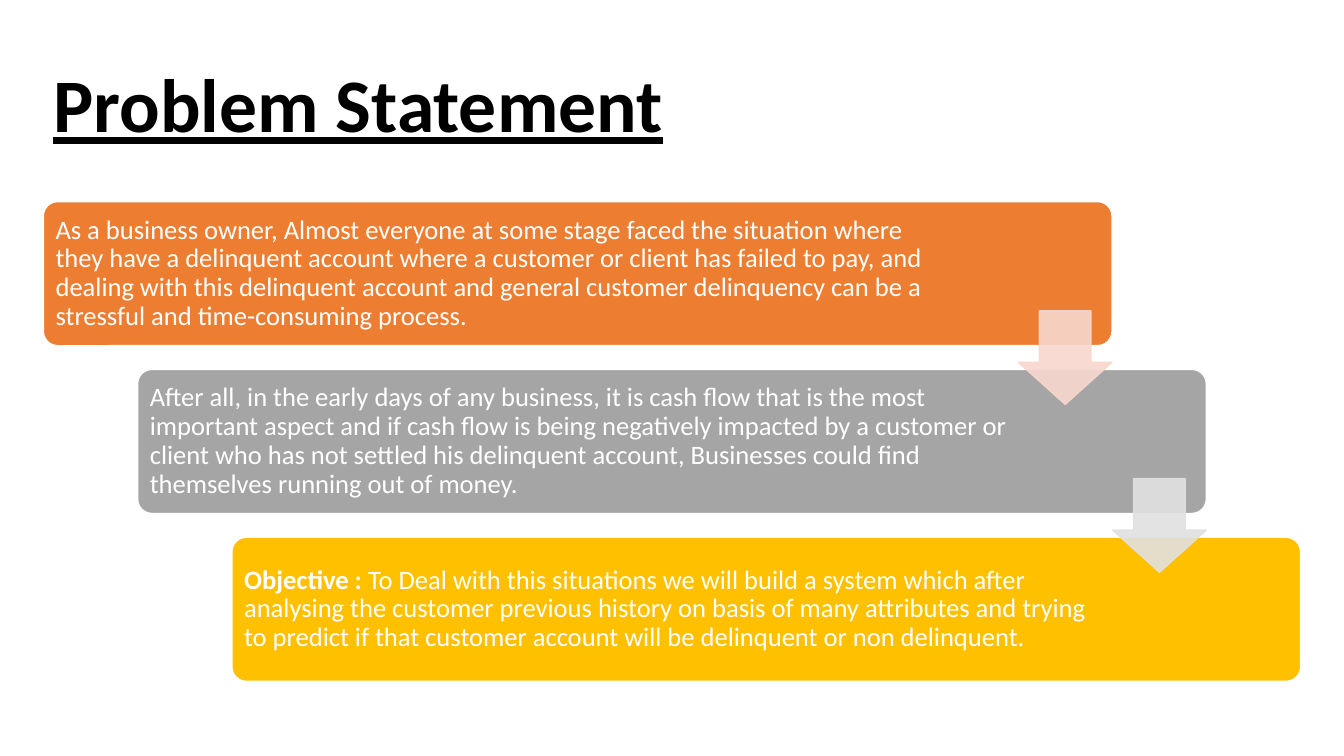
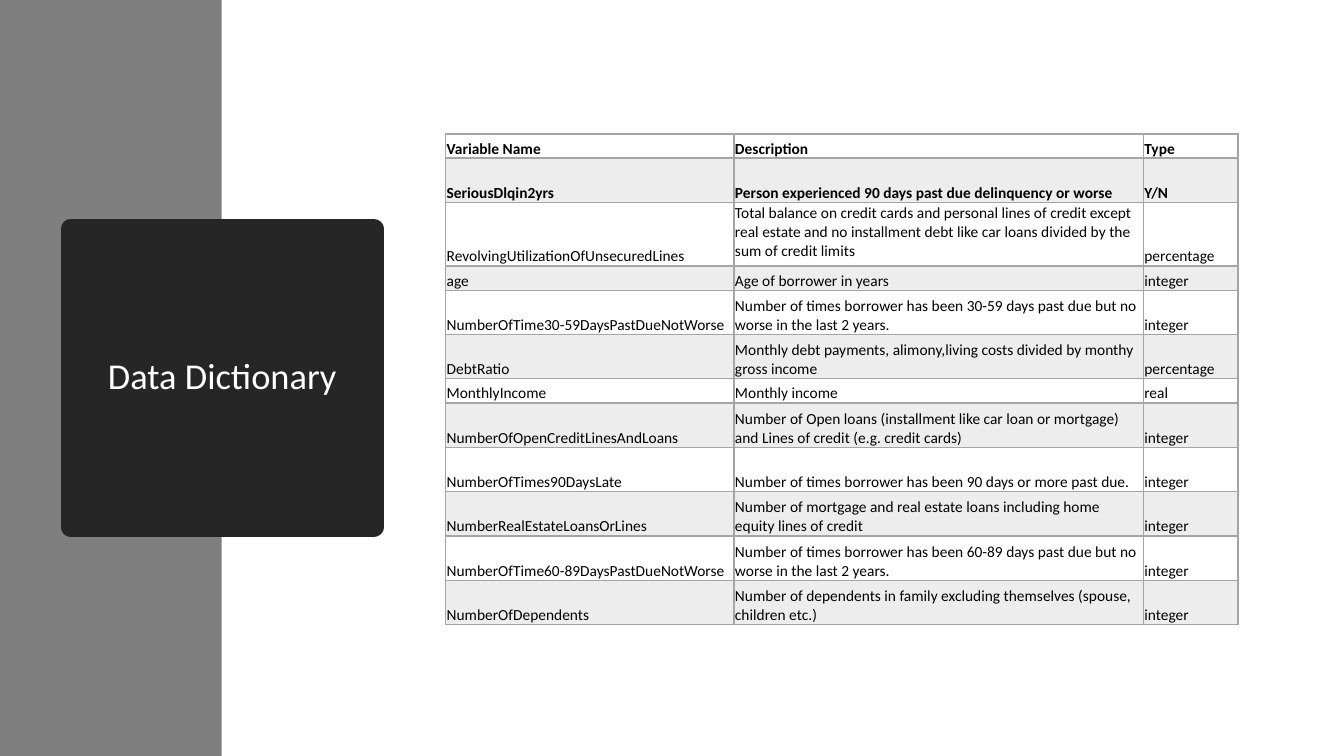
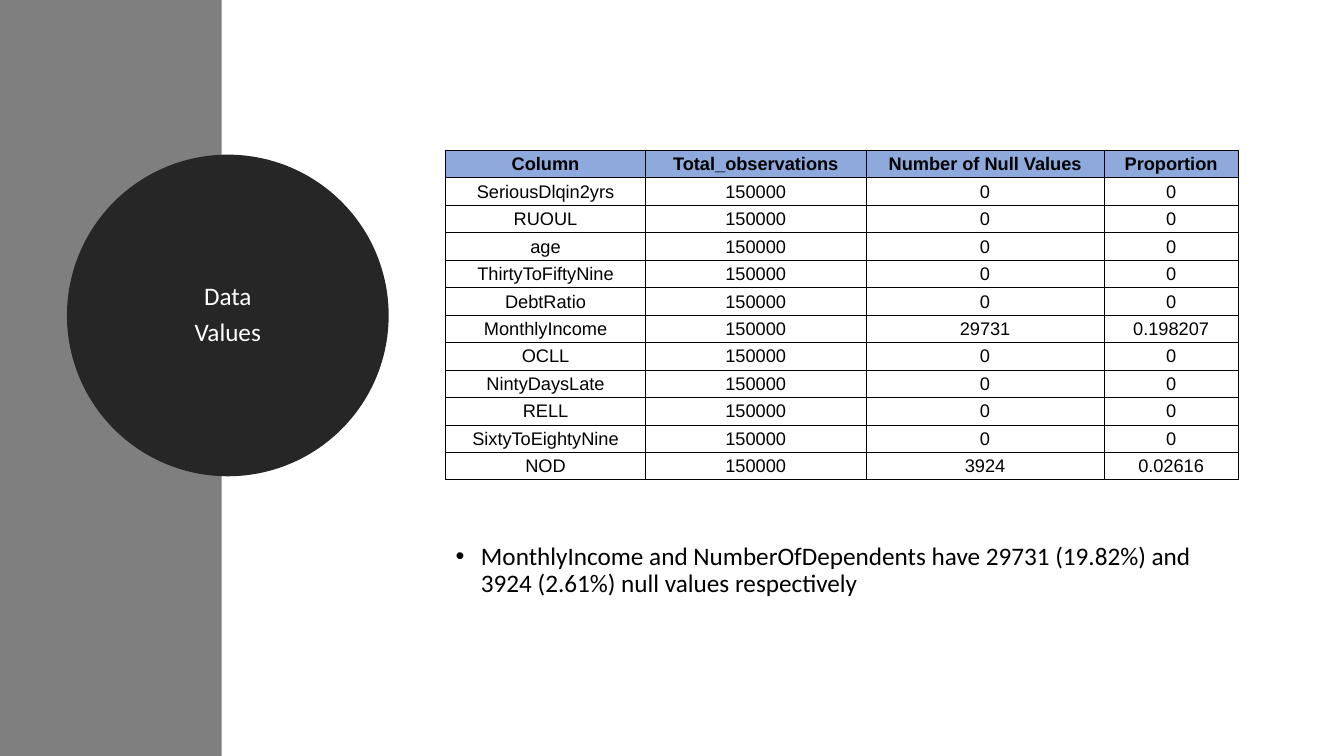
import lxml.etree
import pptx
import pptx.dml.color
import pptx.enum.shapes
import pptx.enum.text
import pptx.oxml.ns
import pptx.util

Inches, Pt = pptx.util.Inches, pptx.util.Pt
PRESET = pptx.enum.shapes.MSO_SHAPE
ALIGN = pptx.enum.text.PP_ALIGN
ANCHOR = pptx.enum.text.MSO_ANCHOR
qn = pptx.oxml.ns.qn

THEME = {
    "font": "Calibri", "table_font": "Arial",
    "ink": "000000", "paper": "FFFFFF", "sidebar": "7F7F7F", "badge": "262626",
    "grid": "A5A5A5", "stripe": "EDEDED", "header": "8EA9DB",
    "cards": ["ED7D31", "A5A5A5", "FFC000"], "arrows": ["F8D7CE", "E1E1E1"],
    "title_size": 54, "badge_title_size": 26, "card_size": 19, "body_size": 18,
    "dictionary_size": 11, "values_size": 13, "badge_line": 13.75, "leading": 0.9,
}
WIDTH, HEIGHT = 13.33, 7.5
SIDEBAR_WIDTH = 2.2
TABLE_LEFT, TABLE_WIDTH = 4.42, 7.86

# Each statement: bold lead, text, right inset
STATEMENTS = [
    ("", "As a business owner, Almost everyone at some stage faced the situation where they have a "
     "delinquent account where a customer or client has failed to pay, and dealing with this "
     "delinquent account and general customer delinquency can be a stressful and time-consuming "
     "process.", 1.54),
    ("", "After all, in the early days of any business, it is cash flow that is the most important "
     "aspect and if cash flow is being negatively impacted by a customer or client who has not "
     "settled his delinquent account, Businesses could find themselves running out of money.", 1.94),
    ("Objective : ", "To Deal with this situations we will build a system which after analysing the "
     "customer previous history on basis of many attributes and trying to predict if that customer "
     "account will be delinquent or non delinquent.", 1.94),
]

DICTIONARY = [
    ("Variable Name", "Description", "Type"),
    ("SeriousDlqin2yrs", "Person experienced 90 days past due delinquency or worse", "Y/N"),
    ("RevolvingUtilizationOfUnsecuredLines",
     "Total balance on credit cards and personal lines of credit except real estate and no "
     "installment debt like car loans divided by the sum of credit limits", "percentage"),
    ("age", "Age of borrower in years", "integer"),
    ("NumberOfTime30-59DaysPastDueNotWorse",
     "Number of times borrower has been 30-59 days past due but no worse in the last 2 years.",
     "integer"),
    ("DebtRatio", "Monthly debt payments, alimony,living costs divided by monthy gross income",
     "percentage"),
    ("MonthlyIncome", "Monthly income", "real"),
    ("NumberOfOpenCreditLinesAndLoans",
     "Number of Open loans (installment like car loan or mortgage) and Lines of credit "
     "(e.g. credit cards)", "integer"),
    ("NumberOfTimes90DaysLate", "Number of times borrower has been 90 days or more past due.",
     "integer"),
    ("NumberRealEstateLoansOrLines",
     "Number of mortgage and real estate loans including home equity lines of credit", "integer"),
    ("NumberOfTime60-89DaysPastDueNotWorse",
     "Number of times borrower has been 60-89 days past due but no worse in the last 2 years.",
     "integer"),
    ("NumberOfDependents",
     "Number of dependents in family excluding themselves (spouse, children etc.)", "integer"),
]
DICTIONARY_COLUMNS = [2.86, 4.06, 0.94]
LINE_HEIGHTS = {1: 0.24, 2: 0.44, 3: 0.63}
DICTIONARY_LINES = [1, 2, 3, 1, 2, 2, 1, 2, 2, 2, 2, 2]

VALUES_HEADER = ("Column", "Total_observations", "Number of Null Values", "Proportion")
OBSERVATIONS = "150000"
VARIABLES = ["SeriousDlqin2yrs", "RUOUL", "age", "ThirtyToFiftyNine", "DebtRatio",
             "MonthlyIncome", "OCLL", "NintyDaysLate", "RELL", "SixtyToEightyNine", "NOD"]
NULLS = {"MonthlyIncome": ("29731", "0.198207"), "NOD": ("3924", "0.02616")}
VALUES = [VALUES_HEADER] + [(name, OBSERVATIONS, *NULLS.get(name, ("0", "0")))
                            for name in VARIABLES]
VALUES_COLUMNS = [1.98, 2.19, 2.36, 1.33]
FINDING = ("MonthlyIncome and NumberOfDependents have 29731 (19.82%) and 3924 (2.61%) "
           "null values respectively")


def rgb(name):
    return pptx.dml.color.RGBColor.from_string(THEME.get(name, name))


def assign(target, **values):
    for key, value in values.items():
        setattr(target, key, value)


def place(shape, left, top, width, height):
    assign(shape, left=Inches(left), top=Inches(top),
           width=Inches(width), height=Inches(height))


def paint(shape, fill, line=None, line_width=1):
    shape.fill.solid()
    shape.fill.fore_color.rgb = rgb(fill)
    if line:
        shape.line.color.rgb = rgb(line)
        shape.line.width = Pt(line_width)
    else:
        shape.line.fill.background()


def write(paragraph, text, size, color="ink", font="font", bold=False, underline=False,
          **layout):
    run = paragraph.add_run()
    run.text = text
    assign(run.font, size=Pt(THEME[size]), name=THEME[font], bold=bold, underline=underline)
    run.font.color.rgb = rgb(color)
    assign(paragraph, **layout)


def add_preset(slide, preset, box, fill, line=None, line_width=1):
    shape = slide.shapes.add_shape(preset, *map(Inches, box))
    shape.shadow.inherit = False
    paint(shape, fill, line, line_width)
    return shape


def add_sidebar(slide):
    """Grey band at the left, behind everything else."""
    band = add_preset(slide, PRESET.RECTANGLE, (0, 0, SIDEBAR_WIDTH, HEIGHT), "sidebar")
    slide.shapes._spTree.insert(2, band._element)


def set_borders(cell, color, widths):
    """Draw the cell's sides; widths are in points: left, right, top, bottom."""
    properties = cell._tc.get_or_add_tcPr()
    for side, width in zip("LRTB", widths):
        line = lxml.etree.SubElement(properties, qn(f"a:ln{side}"), w=str(Pt(width)))
        fill = lxml.etree.SubElement(line, qn("a:solidFill"))
        lxml.etree.SubElement(fill, qn("a:srgbClr"), val=THEME[color])


def add_grid(slide, rows, top, columns, heights, style):
    """Table; style(row, column) gives fill, anchor, border widths and text format."""
    frame = slide.shapes.add_table(len(rows), len(columns), Inches(TABLE_LEFT), Inches(top),
                                   Inches(TABLE_WIDTH), Inches(sum(heights)))
    table = frame.table
    assign(table, first_row=False, horz_banding=False)
    for column, width in zip(table.columns, columns):
        column.width = Inches(width)
    for r, (row, height) in enumerate(zip(rows, heights)):
        table.rows[r].height = Inches(height)
        for c, text in enumerate(row):
            cell = table.cell(r, c)
            fill, anchor, border, widths, text_format = style(r, c)
            assign(cell, vertical_anchor=anchor, margin_left=Inches(0.01),
                   margin_right=Inches(0.01), margin_top=Inches(0.01), margin_bottom=0)
            set_borders(cell, border, widths)
            if fill:
                cell.fill.solid()
                cell.fill.fore_color.rgb = rgb(fill)
            else:
                cell.fill.background()
            write(cell.text_frame.paragraphs[0], text, **text_format)


def dictionary_style(row, column):
    wraps_full = DICTIONARY_LINES[row] == 3 and column == 1
    widths = (1, 1, 2 if row == 1 else 1, 2 if row == 0 else 1)
    return ("stripe" if row % 2 else None, ANCHOR.TOP if wraps_full else ANCHOR.BOTTOM,
            "grid", widths, {"size": "dictionary_size", "bold": row < 2})


def values_style(row, column):
    return ("header" if row == 0 else None, ANCHOR.MIDDLE, "ink", (0.5,) * 4,
            {"size": "values_size", "font": "table_font", "bold": row == 0,
             "alignment": ALIGN.CENTER})


def add_problem_slide(deck):
    slide = deck.slides.add_slide(deck.slide_layouts[5])
    title = slide.shapes.title
    place(title, 0.43, 0.35, 12.48, 1.45)
    title.text_frame.vertical_anchor = ANCHOR.MIDDLE
    write(title.text_frame.paragraphs[0], "Problem Statement", "title_size", bold=True,
          underline=True, alignment=ALIGN.LEFT, line_spacing=THEME["leading"])

    left, top, width, height = 0.43, 2, 10.6, 1.43
    step_x, step_y, arrow_size = 0.935, 1.665, 0.93
    for i, (lead, text, right_inset) in enumerate(STATEMENTS):
        card = add_preset(slide, PRESET.ROUNDED_RECTANGLE,
                          (left + i * step_x, top + i * step_y, width, height),
                          THEME["cards"][i], "paper")
        card.adjustments[0] = 0.1
        frame = card.text_frame
        assign(frame, word_wrap=True, vertical_anchor=ANCHOR.MIDDLE,
               margin_left=Inches(0.08), margin_right=Inches(right_inset),
               margin_top=Inches(0.08), margin_bottom=Inches(0.08))
        for part, bold in ((lead, True), (text, False)):
            if part:
                write(frame.paragraphs[0], part, "card_size", "paper", bold=bold,
                      alignment=ALIGN.LEFT, line_spacing=THEME["leading"])

    for i, color in enumerate(THEME["arrows"]):
        right = left + i * step_x + width
        gap_middle = top + i * step_y + (height + step_y) / 2
        arrow = add_preset(slide, PRESET.DOWN_ARROW,
                           (right - arrow_size, gap_middle - arrow_size / 2,
                            arrow_size, arrow_size), color, color)
        arrow.adjustments[0], arrow.adjustments[1] = 0.55, 0.45
        for shade in arrow._element.spPr.iter(qn("a:srgbClr")):
            lxml.etree.SubElement(shade, qn("a:alpha"), val="90000")


def add_dictionary_slide(deck):
    slide = deck.slides.add_slide(deck.slide_layouts[5])
    add_sidebar(slide)
    title = slide.shapes.title
    place(title, 0.7, 2.27, 3.01, 2.96)
    paint(title, "badge", "badge", THEME["badge_line"])
    lxml.etree.SubElement(title.line._get_or_add_ln(), qn("a:round"))
    title.text_frame.vertical_anchor = ANCHOR.MIDDLE
    write(title.text_frame.paragraphs[0], "Data Dictionary", "badge_title_size", "paper",
          alignment=ALIGN.CENTER, line_spacing=THEME["leading"])
    add_grid(slide, DICTIONARY, 1.33, DICTIONARY_COLUMNS,
             [LINE_HEIGHTS[lines] for lines in DICTIONARY_LINES], dictionary_style)


def add_values_slide(deck):
    slide = deck.slides.add_slide(deck.slide_layouts[1])
    unused_title = slide.shapes.title._element
    unused_title.getparent().remove(unused_title)
    add_sidebar(slide)

    finding = slide.placeholders[1]
    place(finding, TABLE_LEFT, 5.34, TABLE_WIDTH, 1.41)
    bullet = finding.text_frame.paragraphs[0]
    write(bullet, FINDING, "body_size", line_spacing=THEME["leading"], space_before=Pt(10))
    indent = Inches(0.25)
    for key, value in {"marL": indent, "indent": -indent}.items():
        bullet._p.get_or_add_pPr().set(key, str(value))

    badge = add_preset(slide, PRESET.OVAL, (0.76, 1.63, 3, 3), "badge", "badge",
                       THEME["badge_line"])
    frame = badge.text_frame
    assign(frame, word_wrap=True, vertical_anchor=ANCHOR.MIDDLE)
    for i, word in enumerate(("Data", "Values")):
        paragraph = frame.add_paragraph() if i else frame.paragraphs[0]
        write(paragraph, word, "body_size", "paper", alignment=ALIGN.CENTER,
              line_spacing=THEME["leading"], space_after=Pt(6))

    add_grid(slide, VALUES, 1.49, VALUES_COLUMNS, [3.27 / len(VALUES)] * len(VALUES),
             values_style)


def main():
    deck = pptx.Presentation()
    assign(deck, slide_width=Inches(WIDTH), slide_height=Inches(HEIGHT))
    add_problem_slide(deck)
    add_dictionary_slide(deck)
    add_values_slide(deck)
    deck.save("out.pptx")


if __name__ == "__main__":
    main()
